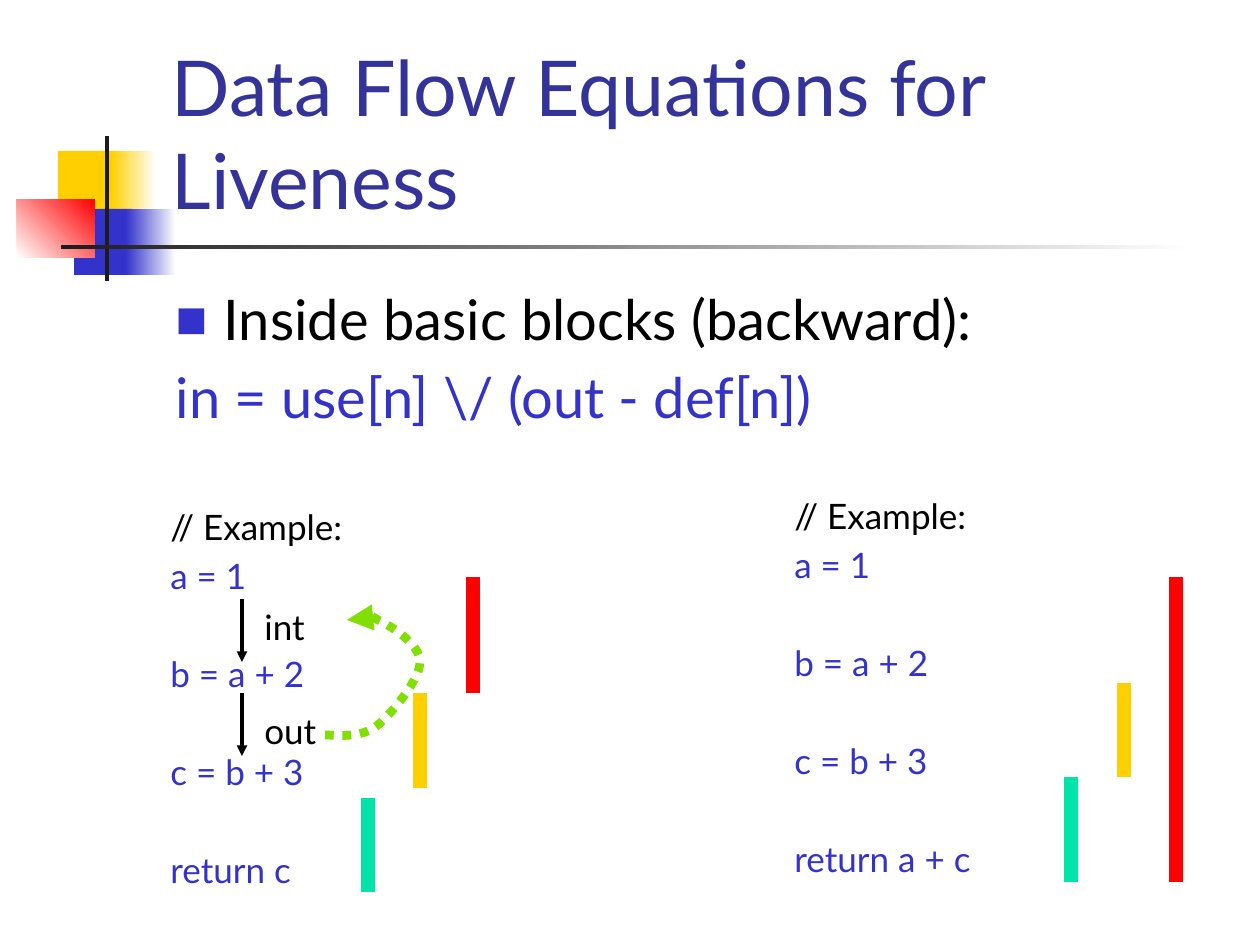
import dataclasses
import typing

import lxml.etree
import pptx
import pptx.dml.color
import pptx.enum.dml
import pptx.enum.shapes
import pptx.enum.text
import pptx.oxml.ns
import pptx.util

RGB = pptx.dml.color.RGBColor
qn = pptx.oxml.ns.qn

SCALE = 914400 / 126
FONT = "Lato"
BLACK = RGB(0x00, 0x00, 0x00)
WHITE = RGB(0xFF, 0xFF, 0xFF)
CHARCOAL = RGB(0x1C, 0x1C, 0x1C)
NAVY = RGB(0x33, 0x33, 0x99)
BLUE = RGB(0x33, 0x33, 0xCC)
YELLOW = RGB(0xFF, 0xCF, 0x01)
RED = RGB(0xFF, 0x00, 0x00)
TEAL = RGB(0x00, 0xE4, 0xA8)
LIME = RGB(0x82, 0xDF, 0x05)


@dataclasses.dataclass(frozen=True)
class Block:
    left: int
    top: int
    width: int
    height: int
    color: RGB
    end_color: RGB | None = None
    angle: int = 0


@dataclasses.dataclass(frozen=True)
class Stroke:
    x: int
    top: int
    bottom: int
    color: RGB
    weight: int = 8
    arrow: bool = False


@dataclasses.dataclass(frozen=True)
class Listing:
    left: int
    top: int
    width: int
    result: str


@dataclasses.dataclass(frozen=True)
class Label:
    text: str
    top: int


BLOCKS = [
    Block(58, 151, 60, 66, YELLOW),
    Block(111, 151, 45, 66, YELLOW, WHITE),
    Block(74, 209, 58, 66, BLUE),
    Block(126, 209, 50, 66, BLUE, WHITE),
    Block(17, 199, 78, 59, WHITE, RED, 45),
    Block(105, 136, 4, 145, CHARCOAL),
    Block(61, 245, 1134, 4, CHARCOAL, WHITE),
]
STROKES = [
    Stroke(368, 798, 892, TEAL),
    Stroke(420, 693, 788, YELLOW),
    Stroke(473, 577, 693, RED),
    Stroke(1071, 777, 882, TEAL),
    Stroke(1124, 683, 777, YELLOW),
    Stroke(1176, 577, 882, RED),
    Stroke(242, 599, 662, BLACK, 2, True),
    Stroke(242, 693, 756, BLACK, 2, True),
]
LISTINGS = [
    Listing(158, 499, 378, "return c"),
    Listing(782, 488, 352, "return a + c"),
]
LABELS = [Label("int", 599), Label("out", 703)]
FLOW_POINTS = [
    (325, 735),
    (344, 736), (363, 737), (378, 725),
    (393, 712), (420, 679), (420, 662),
    (420, 644), (391, 626), (378, 620),
    (365, 612), (352, 620), (347, 620),
]


def px(length: int) -> pptx.util.Emu:
    return pptx.util.Emu(round(length * SCALE))


def place(shape: typing.Any, left: int, top: int, width: int, height: int) -> None:
    shape.left, shape.top = px(left), px(top)
    shape.width, shape.height = px(width), px(height)


def write(para: typing.Any, text: str, *, size: int, color: RGB, before: float = 0) -> None:
    para.alignment = pptx.enum.text.PP_ALIGN.LEFT
    para.space_before = pptx.util.Pt(before)
    span = para.add_run()
    span.text = text
    span.font.name = FONT
    span.font.size = pptx.util.Pt(size)
    span.font.color.rgb = color


def set_bullet(para: typing.Any, symbol: str | None) -> None:
    properties = para._p.get_or_add_pPr()
    indent = px(48) if symbol else 0
    properties.set("marL", str(indent))
    properties.set("indent", str(-indent))
    if symbol is None:
        lxml.etree.SubElement(properties, qn("a:buNone"))
        return
    color = lxml.etree.SubElement(properties, qn("a:buClr"))
    lxml.etree.SubElement(color, qn("a:srgbClr"), val=str(BLUE))
    lxml.etree.SubElement(properties, qn("a:buSzPct"), val="60000")
    lxml.etree.SubElement(properties, qn("a:buFont"), typeface=FONT)
    lxml.etree.SubElement(properties, qn("a:buChar"), char=symbol)


def add_arrowhead(shape: typing.Any) -> None:
    lxml.etree.SubElement(shape.line._get_or_add_ln(), qn("a:tailEnd"), type="triangle")


def draw_block(page: typing.Any, block: Block) -> None:
    shape = page.shapes.add_shape(pptx.enum.shapes.MSO_SHAPE.RECTANGLE, 0, 0, 0, 0)
    place(shape, block.left, block.top, block.width, block.height)
    shape.shadow.inherit = False
    shape.line.fill.background()
    if block.end_color is None:
        shape.fill.solid()
        shape.fill.fore_color.rgb = block.color
        return
    shape.fill.gradient()
    shape.fill.gradient_angle = block.angle
    for stop, color in zip(shape.fill.gradient_stops, (block.color, block.end_color)):
        stop.color.rgb = color


def draw_stroke(page: typing.Any, stroke: Stroke) -> None:
    line = page.shapes.add_connector(
        pptx.enum.shapes.MSO_CONNECTOR.STRAIGHT,
        px(stroke.x), px(stroke.top), px(stroke.x), px(stroke.bottom),
    )
    line.line.color.rgb = stroke.color
    line.line.width = pptx.util.Pt(stroke.weight)
    if stroke.arrow:
        add_arrowhead(line)
    lxml.etree.SubElement(line._element.spPr, qn("a:effectLst"))


def add_box(page: typing.Any, left: int, top: int, width: int, height: int) -> typing.Any:
    box = page.shapes.add_textbox(px(left), px(top), px(width), px(height))
    box.text_frame.word_wrap = True
    return box.text_frame


def draw_listing(page: typing.Any, listing: Listing) -> None:
    frame = add_box(page, listing.left, listing.top, listing.width, 404)
    write(frame.paragraphs[0], "// Example:", size=20, color=BLACK)
    statements = ["a = 1", "b = a + 2", "c = b + 3", listing.result]
    for index, statement in enumerate(statements):
        write(frame.add_paragraph(), statement, size=20, color=BLUE, before=32 if index else 4)


def draw_label(page: typing.Any, label: Label) -> None:
    frame = add_box(page, 252, label.top, 126, 55)
    write(frame.paragraphs[0], label.text, size=20, color=BLACK)


def draw_flow(page: typing.Any) -> None:
    builder = page.shapes.build_freeform(*FLOW_POINTS[0], scale=SCALE)
    builder.add_line_segments(FLOW_POINTS[1:], close=False)
    curve = builder.convert_to_shape()
    outline = next(curve._element.iter(qn("a:path")))
    segments = outline.findall(qn("a:lnTo"))
    for start in range(0, len(segments), 3):
        bezier = lxml.etree.SubElement(outline, qn("a:cubicBezTo"))
        for segment in segments[start:start + 3]:
            bezier.append(segment[0])
            outline.remove(segment)
    curve.shadow.inherit = False
    curve.fill.background()
    curve.line.color.rgb = LIME
    curve.line.width = pptx.util.Pt(5)
    curve.line.dash_style = pptx.enum.dml.MSO_LINE.ROUND_DOT
    add_arrowhead(curve)


def fill_placeholders(page: typing.Any) -> None:
    title, body = page.shapes.title, page.placeholders[1]
    place(title, 159, 29, 1074, 202)
    place(body, 163, 278, 1071, 567)
    for holder in (title, body):
        holder.text_frame.auto_size = pptx.enum.text.MSO_AUTO_SIZE.NONE
        page.shapes.element.append(holder._element)
    title.text_frame.vertical_anchor = pptx.enum.text.MSO_ANCHOR.BOTTOM
    write(title.text_frame.paragraphs[0], "Data Flow Equations for Liveness", size=44, color=NAVY)
    heading, equation = body.text_frame.paragraphs[0], body.text_frame.add_paragraph()
    set_bullet(heading, "■")
    write(heading, "Inside basic blocks (backward):", size=32, color=BLACK)
    set_bullet(equation, None)
    write(equation, "in = use[n] \\/ (out - def[n])", size=32, color=BLUE, before=6.4)


def main() -> None:
    deck = pptx.Presentation()
    deck.slide_width, deck.slide_height = px(1260), px(945)
    page = deck.slides.add_slide(deck.slide_layouts[1])
    for block in BLOCKS:
        draw_block(page, block)
    fill_placeholders(page)
    for listing in LISTINGS:
        draw_listing(page, listing)
    for stroke in STROKES:
        draw_stroke(page, stroke)
    for label in LABELS:
        draw_label(page, label)
    draw_flow(page)
    deck.save("out.pptx")


if __name__ == "__main__":
    main()
